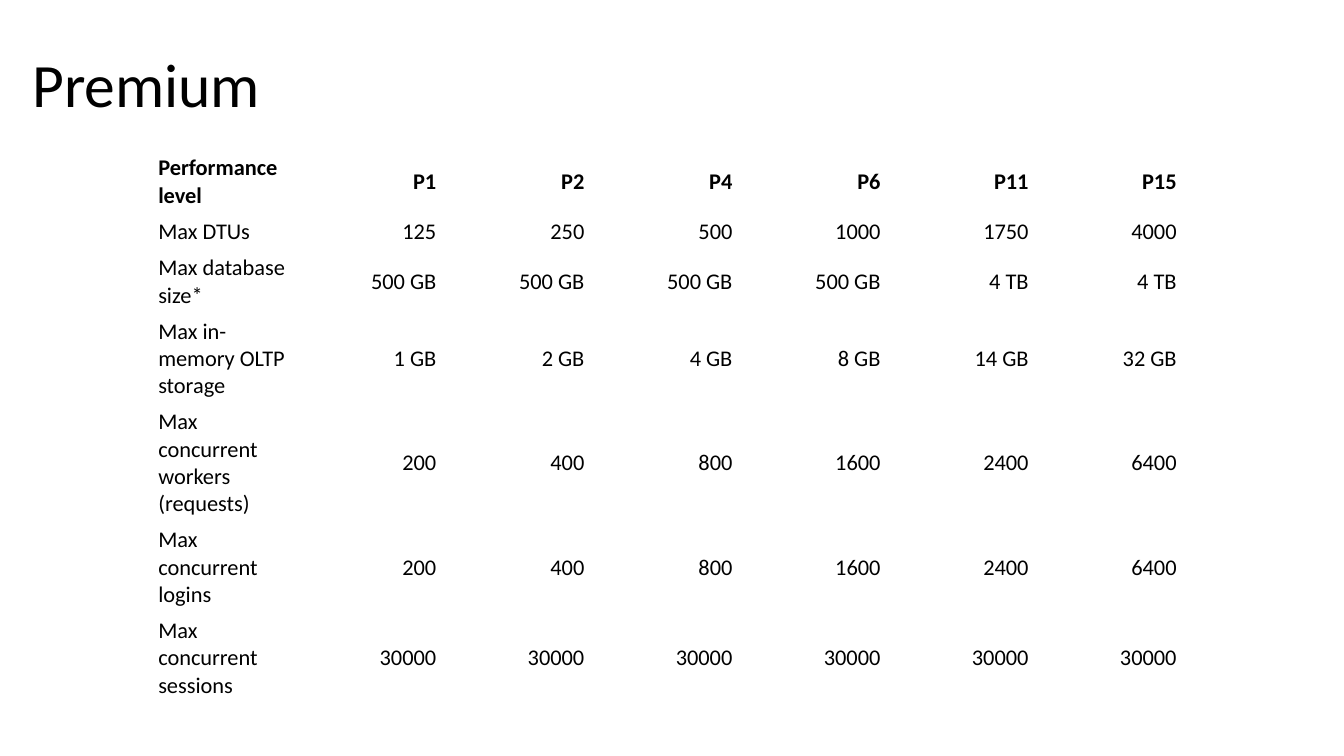
import dataclasses

import pptx
import pptx.dml.color
import pptx.enum.text
import pptx.util

Inches = pptx.util.Inches
Align = pptx.enum.text.PP_ALIGN
Anchor = pptx.enum.text.MSO_ANCHOR


@dataclasses.dataclass(frozen=True)
class Theme:
    font: str = "Calibri"
    ink: pptx.dml.color.RGBColor = pptx.dml.color.RGBColor(0, 0, 0)
    title_size: int = 44
    table_size: int = 16
    line_height: float = 0.27
    cell_padding: float = 0.09


THEME = Theme()

LEVELS = [
    ("Performance level", 2, ["P1", "P2", "P4", "P6", "P11", "P15"]),
    ("Max DTUs", 1, [125, 250, 500, 1000, 1750, 4000]),
    ("Max database size*", 2, ["500 GB"] * 4 + ["4 TB"] * 2),
    ("Max in-memory OLTP storage", 3,
     ["1 GB", "2 GB", "4 GB", "8 GB", "14 GB", "32 GB"]),
    ("Max concurrent workers (requests)", 4, [200, 400, 800, 1600, 2400, 6400]),
    ("Max concurrent logins", 3, [200, 400, 800, 1600, 2400, 6400]),
    ("Max concurrent sessions", 3, [30000] * 6),
]


def style_text(paragraph, size, align, bold=False):
    paragraph.alignment = align
    font = paragraph.font
    font.name = THEME.font
    font.size = pptx.util.Pt(size)
    font.bold = bold
    font.color.rgb = THEME.ink


def place_title(slide, heading, left, top, width, height):
    title = slide.shapes.title
    title.left, title.top = Inches(left), Inches(top)
    title.width, title.height = Inches(width), Inches(height)
    frame = title.text_frame
    frame.text = heading
    frame.word_wrap = True
    frame.vertical_anchor = Anchor.MIDDLE
    frame.paragraphs[0].line_spacing = 0.9
    style_text(frame.paragraphs[0], THEME.title_size, Align.LEFT)


def fill_cell(cell, content, align, bold):
    cell.text = str(content)
    cell.fill.background()
    cell.vertical_anchor = Anchor.MIDDLE
    cell.margin_left = cell.margin_right = Inches(THEME.cell_padding)
    cell.margin_top = cell.margin_bottom = Inches(0.04)
    style_text(cell.text_frame.paragraphs[0], THEME.table_size, align, bold)


def place_levels(slide, levels, left, top, width, height):
    column_count = 1 + len(levels[0][2])
    grid = slide.shapes.add_table(
        len(levels), column_count,
        Inches(left), Inches(top), Inches(width), Inches(height)).table
    grid.first_row = grid.horz_banding = False
    for column in grid.columns:
        column.width = Inches(width / column_count)
    for row_index, (label, lines, limits) in enumerate(levels):
        row = grid.rows[row_index]
        row.height = Inches(lines * THEME.line_height + THEME.cell_padding)
        for column_index, content in enumerate([label, *limits]):
            align = Align.RIGHT if column_index else Align.LEFT
            fill_cell(row.cells[column_index], content, align, row_index == 0)


def build_premium_slide(deck):
    slide = deck.slides.add_slide(deck.slide_layouts[5])
    place_title(slide, "Premium", 0.22, 0.39, 12.88, 0.96)
    place_levels(slide, LEVELS, 1.48, 1.49, 10.28, 5.49)


deck = pptx.Presentation()
deck.slide_width, deck.slide_height = Inches(13.33), Inches(7.5)
build_premium_slide(deck)
deck.save("out.pptx")
